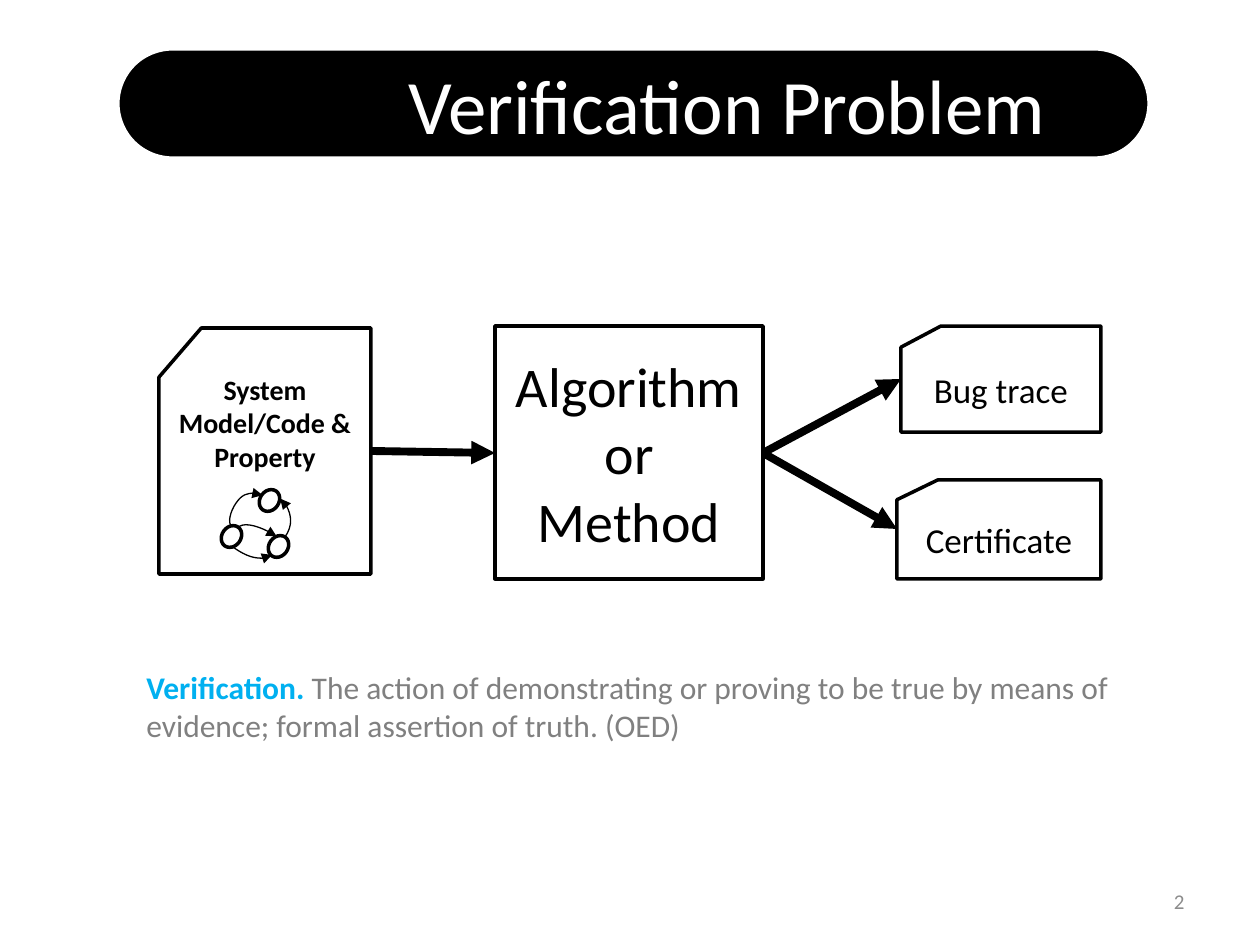
from dataclasses import dataclass, field
from typing import Optional

from lxml.etree import SubElement
from pptx import Presentation
from pptx.dml.color import RGBColor
from pptx.enum.shapes import MSO_CONNECTOR, MSO_SHAPE
from pptx.enum.text import MSO_ANCHOR, PP_ALIGN
from pptx.oxml.ns import qn
from pptx.util import Emu, Pt

EMU_PER_PX = 914400 / 126
FONT = "Calibri"
BLACK = RGBColor(0x00, 0x00, 0x00)
WHITE = RGBColor(0xFF, 0xFF, 0xFF)
GRAY = RGBColor(0x80, 0x80, 0x80)
LIGHT_GRAY = RGBColor(0x8C, 0x8C, 0x8C)
BLUE = RGBColor(0x00, 0xB0, 0xF0)


@dataclass(frozen=True)
class Run:
    text: str
    size: int
    color: RGBColor = BLACK
    bold: bool = False


@dataclass(frozen=True)
class Block:
    kind: Optional[MSO_SHAPE]  # None makes a text box
    box: tuple[int, int, int, int]
    paragraphs: tuple[tuple[Run, ...], ...] = ()
    align: PP_ALIGN = PP_ALIGN.CENTER
    fill: Optional[RGBColor] = None
    line: RGBColor = BLACK
    line_width: float = 2
    rotation: float = 0
    frame: dict = field(default_factory=dict)


@dataclass(frozen=True)
class Curve:
    preset: str
    box: tuple[int, int, int, int]
    rotation: int
    flip: str = ""
    bend: Optional[int] = None


def px(value: int) -> Emu:
    return Emu(round(value * EMU_PER_PX))


def set_values(target, values: dict) -> None:
    for name, value in values.items():
        setattr(target, name, value)


def fill_text(block: Block, text_frame) -> None:
    set_values(text_frame, {"word_wrap": True, "vertical_anchor": MSO_ANCHOR.MIDDLE,
                            **block.frame})
    for index, runs in enumerate(block.paragraphs):
        paragraph = text_frame.add_paragraph() if index else text_frame.paragraphs[0]
        paragraph.alignment = block.align
        for item in runs:
            run = paragraph.add_run()
            run.text = item.text
            set_values(run.font, {"name": FONT, "size": Pt(item.size), "bold": item.bold})
            run.font.color.rgb = item.color


def draw_block(slide, block: Block) -> None:
    position = [px(value) for value in block.box]
    if block.kind is None:
        shape = slide.shapes.add_textbox(*position)
    else:
        shape = slide.shapes.add_shape(block.kind, *position)
        shape.shadow.inherit = False
        shape.rotation = block.rotation
        if block.fill is None:
            shape.fill.background()
        else:
            shape.fill.solid()
            shape.fill.fore_color.rgb = block.fill
        shape.line.color.rgb = block.line
        shape.line.width = Pt(block.line_width)
        if block.kind == MSO_SHAPE.ROUNDED_RECTANGLE:
            shape.adjustments[0] = 0.5
    if block.paragraphs:
        fill_text(block, shape.text_frame)


def draw_connector(slide, kind: MSO_CONNECTOR, ends: tuple, width: float, arrow: str):
    connector = slide.shapes.add_connector(kind, *[px(value) for value in ends])
    connector.line.color.rgb = BLACK
    connector.line.width = Pt(width)
    SubElement(connector.line._get_or_add_ln(), qn(f"a:{arrow}"), type="triangle")
    SubElement(connector._element.spPr, qn("a:effectLst"))
    return connector


def draw_curve(slide, curve: Curve) -> None:
    left, top, width, height = curve.box
    ends = (left, top, left + width, top + height)
    connector = draw_connector(slide, MSO_CONNECTOR.CURVE, ends, 0.75, "tailEnd")
    properties = connector._element.spPr
    transform = properties.find(qn("a:xfrm"))
    transform.set("rot", str(curve.rotation * 60000))
    if curve.flip:
        transform.set(curve.flip, "1")
    geometry = properties.find(qn("a:prstGeom"))
    geometry.set("prst", curve.preset)
    if curve.bend is not None:
        adjustments = geometry.find(qn("a:avLst"))
        if adjustments is None:
            adjustments = SubElement(geometry, qn("a:avLst"))
        SubElement(adjustments, qn("a:gd"), name="adj1", fmla=f"val {curve.bend}")


CARD = MSO_SHAPE.FLOWCHART_CARD

BLOCKS = [
    # Title bar
    Block(MSO_SHAPE.ROUNDED_RECTANGLE, (117, 48, 1033, 111),
          ((Run("Verification Problem", 44, WHITE),),), PP_ALIGN.RIGHT,
          BLACK, WHITE, 3, frame={"margin_right": px(88)}),
    # Inputs, method and outcomes
    Block(CARD, (159, 328, 212, 246), ((Run("System Model/Code & Property", 16, bold=True),),),
          frame={"vertical_anchor": MSO_ANCHOR.TOP, "margin_top": px(-5)}),
    Block(MSO_SHAPE.RECTANGLE, (495, 326, 268, 253),
          ((Run("Algorithm", 32),), (Run("or Method", 32),)),
          frame={"margin_left": px(16), "margin_right": px(16)}),
    Block(CARD, (901, 326, 200, 106), ((Run("Bug trace", 20),),)),
    Block(CARD, (897, 480, 204, 99), ((Run("Certificate", 20),),)),
    # States of the small automaton
    *[Block(MSO_SHAPE.OVAL, (left, top, 23, 19), rotation=305.5)
      for left, top in ((258, 491), (267, 537), (220, 527))],
    # Definition and slide number
    Block(None, (134, 662, 1000, 89),
          ((Run("Verification.", 18, BLUE, True),
            Run(" The action of demonstrating or proving to be true by means of "
                "evidence; formal assertion of truth. (OED)", 18, GRAY)),),
          PP_ALIGN.LEFT, frame={"vertical_anchor": MSO_ANCHOR.TOP}),
    Block(None, (903, 876, 294, 50), ((Run("2", 12, LIGHT_GRAY),),), PP_ALIGN.RIGHT),
]

# Flow arrows, each pointing at its first end
ARROWS = [
    (495, 453, 371, 451),
    (901, 379, 763, 453),
    (897, 529, 763, 453),
]

# Transitions of the small automaton
CURVES = [
    Curve("curvedConnector3", (243, 489, 8, 43), 215, "flipH", -117100),
    Curve("curvedConnector2", (234, 543, 37, 16), 215, "flipH"),
    Curve("curvedConnector2", (249, 514, 16, 37), 305),
    Curve("curvedConnector2", (268, 505, 29, 26), 305, "flipV"),
]


def main() -> None:
    presentation = Presentation()
    set_values(presentation, {"slide_width": px(1260), "slide_height": px(945)})
    slide = presentation.slides.add_slide(presentation.slide_layouts[6])
    for block in BLOCKS:
        draw_block(slide, block)
    for ends in ARROWS:
        draw_connector(slide, MSO_CONNECTOR.STRAIGHT, ends, 4.5, "headEnd")
    for curve in CURVES:
        draw_curve(slide, curve)
    presentation.save("out.pptx")


if __name__ == "__main__":
    main()
